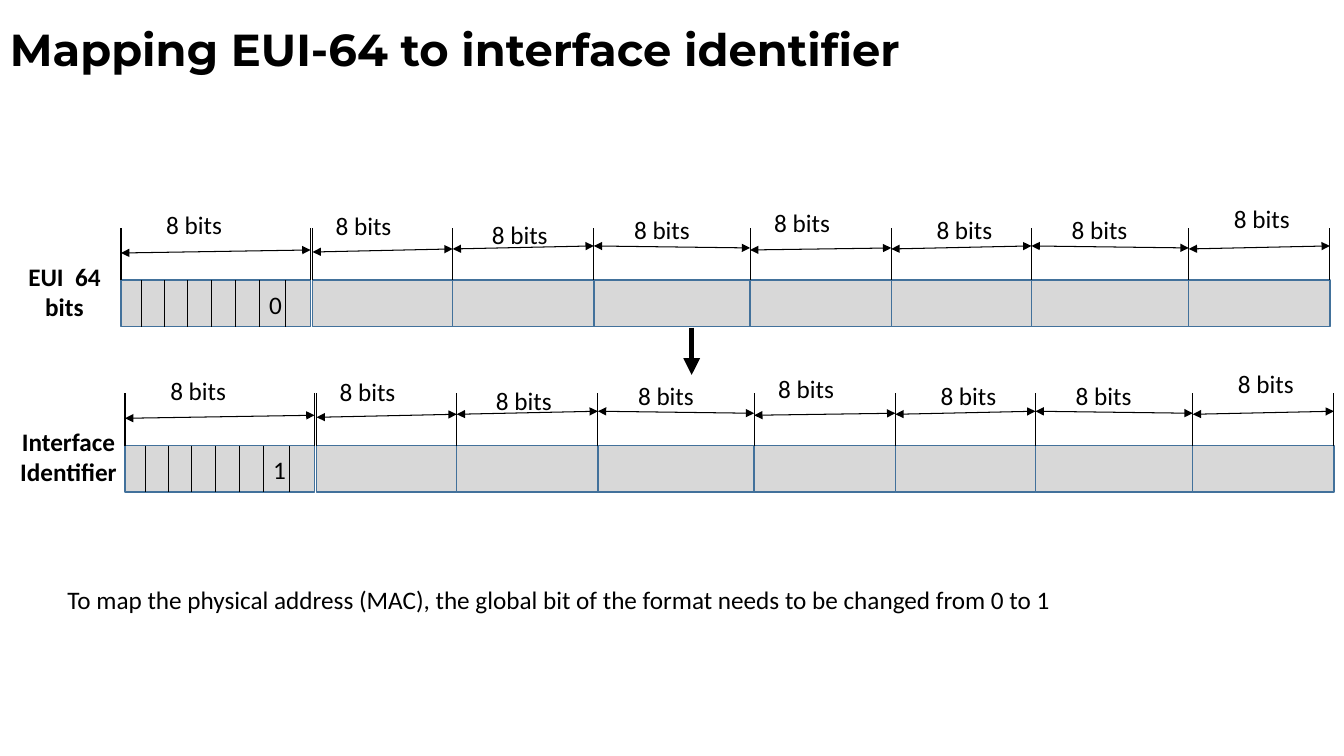
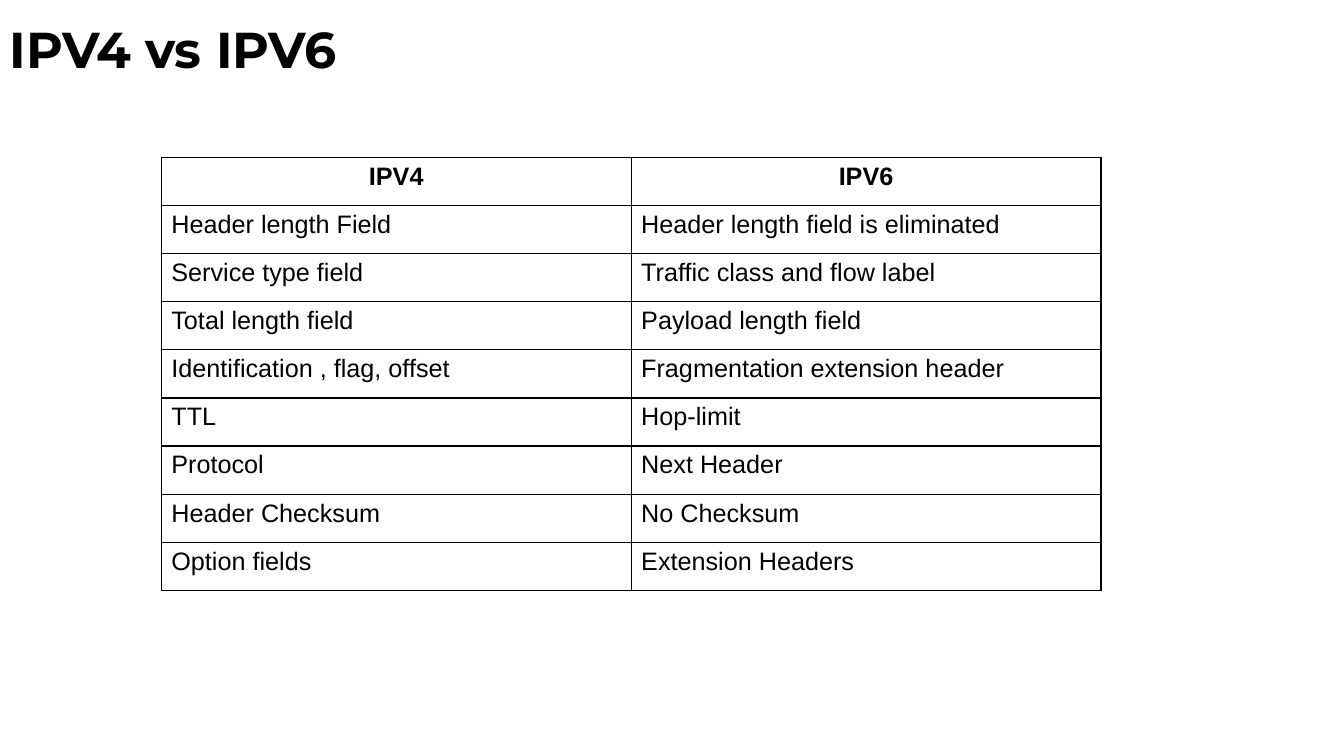
from lxml.etree import SubElement
from pptx import Presentation
from pptx.dml.color import RGBColor
from pptx.enum.shapes import MSO_CONNECTOR, MSO_SHAPE
from pptx.enum.text import MSO_ANCHOR, PP_ALIGN
from pptx.oxml.ns import qn
from pptx.util import Inches, Pt


def rgb(value):
    return RGBColor.from_string(value)


class Deck:
    INK = "000000"
    BYTE_FILL = "D8D8D8"
    BYTE_LINE = "42719B"
    TITLE_FONT = "Montserrat"
    BODY_FONT = "Calibri"
    TABLE_FONT = "Arial"
    BODY_SIZE = 18

    def __init__(self):
        self.prs = Presentation()
        self.prs.slide_width = Inches(13.33)
        self.prs.slide_height = Inches(7.5)
        self.s = None

    def slide(self, title, size):
        self.s = self.prs.slides.add_slide(self.prs.slide_layouts[6])
        tf = self.text(title, 0, 0, 11.08, 1.03, True, font=self.TITLE_FONT, size=size)
        tf.vertical_anchor = MSO_ANCHOR.MIDDLE
        tf.paragraphs[0].line_spacing = 0.9

    def style(self, p, font, size, bold, align):
        p.alignment = align
        p.font.name = font
        p.font.size = Pt(size)
        p.font.bold = bold
        p.font.color.rgb = rgb(self.INK)

    def text(self, words, x, y, w, h=0.4, bold=False, align=PP_ALIGN.LEFT,
             font=BODY_FONT, size=BODY_SIZE):
        sp = self.s.shapes.add_textbox(Inches(x), Inches(y), Inches(w), Inches(h))
        tf = sp.text_frame
        tf.word_wrap = True
        tf.text = words
        self.style(tf.paragraphs[0], font, size, bold, align)
        return tf

    def box(self, x, y, w, h):
        sp = self.s.shapes.add_shape(
            MSO_SHAPE.RECTANGLE, Inches(x), Inches(y), Inches(w), Inches(h))
        sp.shadow.inherit = False
        sp.fill.solid()
        sp.fill.fore_color.rgb = rgb(self.BYTE_FILL)
        sp.line.color.rgb = rgb(self.BYTE_LINE)
        sp.line.width = Pt(1)

    def line(self, x1, y1, x2, y2, width=0.75, ends=()):
        c = self.s.shapes.add_connector(
            MSO_CONNECTOR.STRAIGHT, Inches(x1), Inches(y1), Inches(x2), Inches(y2))
        c.line.color.rgb = rgb(self.INK)
        c.line.width = Pt(width)
        spPr = c.element.spPr
        for end in ends:
            SubElement(spPr.find(qn("a:ln")), qn(f"a:{end}"), type="triangle")
        SubElement(spPr, qn("a:effectLst"))

    def border(self, cell):
        tcPr = cell._tc.get_or_add_tcPr()
        for side in ("lnL", "lnR", "lnT", "lnB"):
            ln = SubElement(tcPr, qn(f"a:{side}"), w=str(Pt(1)))
            fill = SubElement(ln, qn("a:solidFill"))
            SubElement(fill, qn("a:srgbClr"), val=self.INK)

    def table(self, rows, x, y, w, h):
        cols = len(rows[0])
        table = self.s.shapes.add_table(
            len(rows), cols, Inches(x), Inches(y), Inches(w), Inches(h)).table
        table.first_row = table.horz_banding = False
        for i, row in enumerate(rows):
            for j, words in enumerate(row):
                cell = table.cell(i, j)
                cell.text = words
                header = i == 0
                self.style(cell.text_frame.paragraphs[0], self.TABLE_FONT, self.BODY_SIZE,
                           header, PP_ALIGN.CENTER if header else PP_ALIGN.LEFT)
                self.border(cell)
                cell.fill.background()

    def address(self, name, global_bit, dx=0, dy=0):
        top, height, tick = 2.78 + dy, 0.46, 0.52
        for left, right, start, end, label_x, label_y in BYTES:
            left, right = left + dx, right + dx
            self.box(left, top, right - left, height)
            self.line(left, start + dy, right, end + dy, ends=("headEnd", "tailEnd"))
            self.text("8 bits", label_x + dx, label_y + dy, 0.91)
        for x in BYTE_EDGES:
            self.line(x + dx, top, x + dx, top - tick)
        for x in BIT_EDGES:
            self.line(x + dx, top, x + dx, top + height)
        self.text(global_bit, 2.57 + dx, 2.82 + dy, 0.24)
        self.text(name, 0.01 + dx, 2.54 + dy, 1.26, 0.71, True, PP_ALIGN.CENTER)


BYTES = [
    (1.2, 3.08, 2.51, 2.48, 1.55, 2.03),
    (3.1, 4.49, 2.5, 2.47, 3.23, 2.04),
    (4.49, 5.89, 2.47, 2.44, 4.78, 2.13),
    (5.89, 7.44, 2.44, 2.46, 6.19, 2.08),
    (7.44, 8.84, 2.48, 2.46, 7.58, 2.01),
    (8.84, 10.23, 2.47, 2.44, 9.19, 2.08),
    (10.23, 11.79, 2.44, 2.46, 10.53, 2.08),
    (11.79, 13.19, 2.47, 2.44, 12.14, 1.97),
]
BYTE_EDGES = sorted({x for byte in BYTES for x in byte[:2]})
BIT_EDGES = [1.4, 1.63, 1.86, 2.1, 2.34, 2.57, 2.83]
COMPARISON = [
    ("IPV4", "IPV6"),
    ("Header length Field", "Header length field is eliminated"),
    ("Service type field", "Traffic class and flow label"),
    ("Total length field", "Payload length field"),
    ("Identification , flag, offset", "Fragmentation extension header"),
    ("TTL", "Hop-limit"),
    ("Protocol", "Next Header"),
    ("Header Checksum", "No Checksum"),
    ("Option fields", "Extension Headers"),
]

deck = Deck()

deck.slide("Mapping EUI-64 to interface identifier", 32)
deck.text("To map the physical address (MAC), the global bit of the format "
          "needs to be changed from 0 to 1", 0.57, 5.75, 12.61)
deck.address("EUI  64 bits", "0")
deck.address("Interface Identifier", "1", 0.04, 1.64)
deck.line(6.86, 3.25, 6.86, 3.72, 4, ["tailEnd"])

deck.slide("IPV4 vs IPV6", 36)
deck.table(COMPARISON, 1.6, 1.56, 9.32, 4.3)

deck.prs.save("out.pptx")
